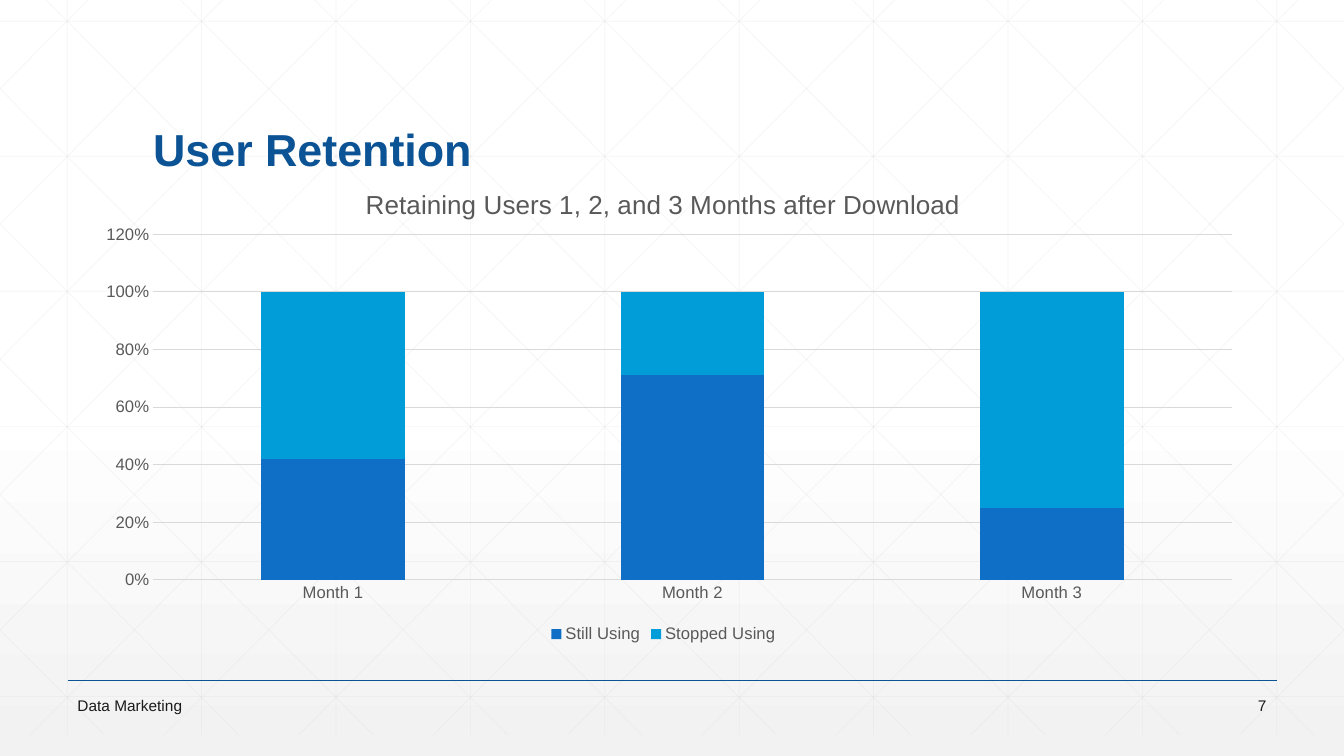
import dataclasses

import lxml.etree
import pptx
import pptx.chart.data
import pptx.dml.color
import pptx.enum.chart
import pptx.enum.shapes
import pptx.enum.text
import pptx.oxml.ns
import pptx.util

Inches = pptx.util.Inches
Pt = pptx.util.Pt
qn = pptx.oxml.ns.qn
Align = pptx.enum.text.PP_ALIGN
Anchor = pptx.enum.text.MSO_ANCHOR


@dataclasses.dataclass(frozen=True)
class Theme:
    font: str = "Arial"
    navy: str = "0B5394"
    ink: str = "1A1A1A"
    gray: str = "595959"
    rule: str = "D9D9D9"
    white: str = "FFFFFF"
    shade: str = "F2F2F2"
    bars: tuple = ("0F6FC6", "009DD9")
    head: float = 32
    title: float = 18.6
    label: float = 11.9
    foot: float = 11


def color(code):
    return pptx.dml.color.RGBColor.from_string(code)


def style(font, name, size, code, bold=False):
    font.name = name
    font.size = Pt(size)
    font.color.rgb = color(code)
    font.bold = bold


def write(frame, text, *, font, size, code, bold=False,
          align=Align.LEFT, space=1.0):
    para = frame.paragraphs[0]
    para.alignment = align
    para.line_spacing = space
    run = para.add_run()
    run.text = text
    style(run.font, font, size, code, bold)


class Page:
    def __init__(self, slide, theme):
        self.slide = slide
        self.theme = theme

    def backdrop(self):
        fill = self.slide.background.fill
        fill.gradient()
        fill.gradient_angle = 270
        stops = fill.gradient_stops
        looks = ((0.53, self.theme.white), (1, self.theme.shade))
        for stop, (place, code) in zip(stops, looks):
            stop.position = place
            stop.color.rgb = color(code)

    def line(self, start, end, code, width, alpha=None):
        points = [Inches(v) for v in (*start, *end)]
        line = self.slide.shapes.add_connector(
            pptx.enum.shapes.MSO_CONNECTOR.STRAIGHT, *points)
        line.line.color.rgb = color(code)
        line.line.width = Pt(width)
        props = line.element.spPr
        if alpha is not None:
            tint = next(props.iter(qn("a:srgbClr")))
            lxml.etree.SubElement(tint, qn("a:alpha"), val=str(alpha * 1000))
        lxml.etree.SubElement(props, qn("a:effectLst"))

    def mesh(self, wide, top, base):
        step = wide / 10
        lines = [((step * (i + 0.5), top), (step * (i + 0.5), base))
                 for i in range(10)]
        lines += [((0, 0.21 + 1.34 * i), (wide, 0.21 + 1.34 * i))
                  for i in range(6)]
        slope = 7.5 / 7.45
        for i in range(-5, 10):
            left = 0.25 + step * i
            ends = [(x, top + (x - left) * slope)
                    for x in (max(left, 0), min(left + 7.45, wide))]
            lines.append(ends)
            lines.append([(wide - x, y) for x, y in ends])
        for start, end in lines:
            self.line(start, end, self.theme.rule, 0.5, 25)

    def text(self, text, box, anchor=Anchor.MIDDLE, **look):
        shape = self.slide.shapes.add_textbox(*map(Inches, box))
        frame = shape.text_frame
        frame.word_wrap = True
        frame.vertical_anchor = anchor
        write(frame, text, font=self.theme.font, **look)

    def chart(self, box, title, cats, rows, plot):
        theme = self.theme
        data = pptx.chart.data.CategoryChartData(number_format="0%")
        data.categories = cats
        for name, vals in rows.items():
            data.add_series(name, vals)
        kind = pptx.enum.chart.XL_CHART_TYPE.COLUMN_STACKED
        chart = self.slide.shapes.add_chart(
            kind, *map(Inches, box), data).chart
        style(chart.font, theme.font, theme.label, theme.gray)

        chart.has_title = True
        write(chart.chart_title.text_frame, title, font=theme.font,
              size=theme.title, code=theme.gray, align=Align.CENTER)
        chart.chart_title.include_in_layout = False

        chart.has_legend = True
        chart.legend.position = pptx.enum.chart.XL_LEGEND_POSITION.BOTTOM
        chart.legend.include_in_layout = False
        style(chart.legend.font, theme.font, theme.label, theme.gray)

        bars = chart.plots[0]
        bars.vary_by_categories = False
        bars.gap_width = 150
        bars.overlap = 100
        for row, code in zip(bars.series, theme.bars):
            row.format.fill.solid()
            row.format.fill.fore_color.rgb = color(code)

        for axis in (chart.category_axis, chart.value_axis):
            axis.major_tick_mark = pptx.enum.chart.XL_TICK_MARK.NONE
            axis.minor_tick_mark = pptx.enum.chart.XL_TICK_MARK.NONE
            style(axis.tick_labels.font, theme.font, theme.label, theme.gray)
        scale = chart.value_axis
        scale.minimum_scale = 0
        scale.maximum_scale = 1.2
        scale.major_unit = 0.2
        scale.tick_labels.number_format = "0%"
        scale.tick_labels.number_format_is_linked = False
        scale.format.line.fill.background()
        scale.has_major_gridlines = True
        for part in (chart.category_axis, scale.major_gridlines):
            part.format.line.color.rgb = color(theme.rule)
            part.format.line.width = Pt(0.75)
        self.place(chart, plot)

    def place(self, chart, plot):
        area = next(chart._chartSpace.iter(qn("c:plotArea")))
        old = area.find(qn("c:layout"))
        if old is not None:
            area.remove(old)
        layout = lxml.etree.Element(qn("c:layout"))
        area.insert(0, layout)
        manual = lxml.etree.SubElement(layout, qn("c:manualLayout"))
        marks = {"layoutTarget": "inner", "xMode": "edge", "yMode": "edge"}
        marks.update(zip("xywh", map(str, plot)))
        for tag, val in marks.items():
            lxml.etree.SubElement(manual, qn("c:" + tag), val=val)


def main():
    deck = pptx.Presentation()
    wide = 13.33
    deck.slide_width = Inches(wide)
    deck.slide_height = Inches(7.5)
    theme = Theme()
    page = Page(deck.slides.add_slide(deck.slide_layouts[6]), theme)

    page.backdrop()
    page.mesh(wide, -0.21, 7.29)
    page.line((0.67, 6.75), (12.67, 6.75), theme.navy, 1)
    page.text("User Retention", (1.42, 0.55, 10.5, 1.25), Anchor.BOTTOM,
              size=theme.head, code=theme.navy, bold=True, space=0.9)
    page.text("Data Marketing", (0.67, 6.88, 6.7, 0.24),
              size=theme.foot, code=theme.ink)
    page.text("7", (11.66, 6.88, 1, 0.24),
              size=theme.foot, code=theme.ink, align=Align.RIGHT)
    page.chart((0.83, 1.66, 11.5, 4.76),
               "Retaining Users 1, 2, and 3 Months after Download",
               ("Month 1", "Month 2", "Month 3"),
               {"Still Using": (0.42, 0.71, 0.25),
                "Stopped Using": (0.58, 0.29, 0.75)},
               (0.06, 0.14, 0.93, 0.72))
    deck.save("out.pptx")


if __name__ == "__main__":
    main()
